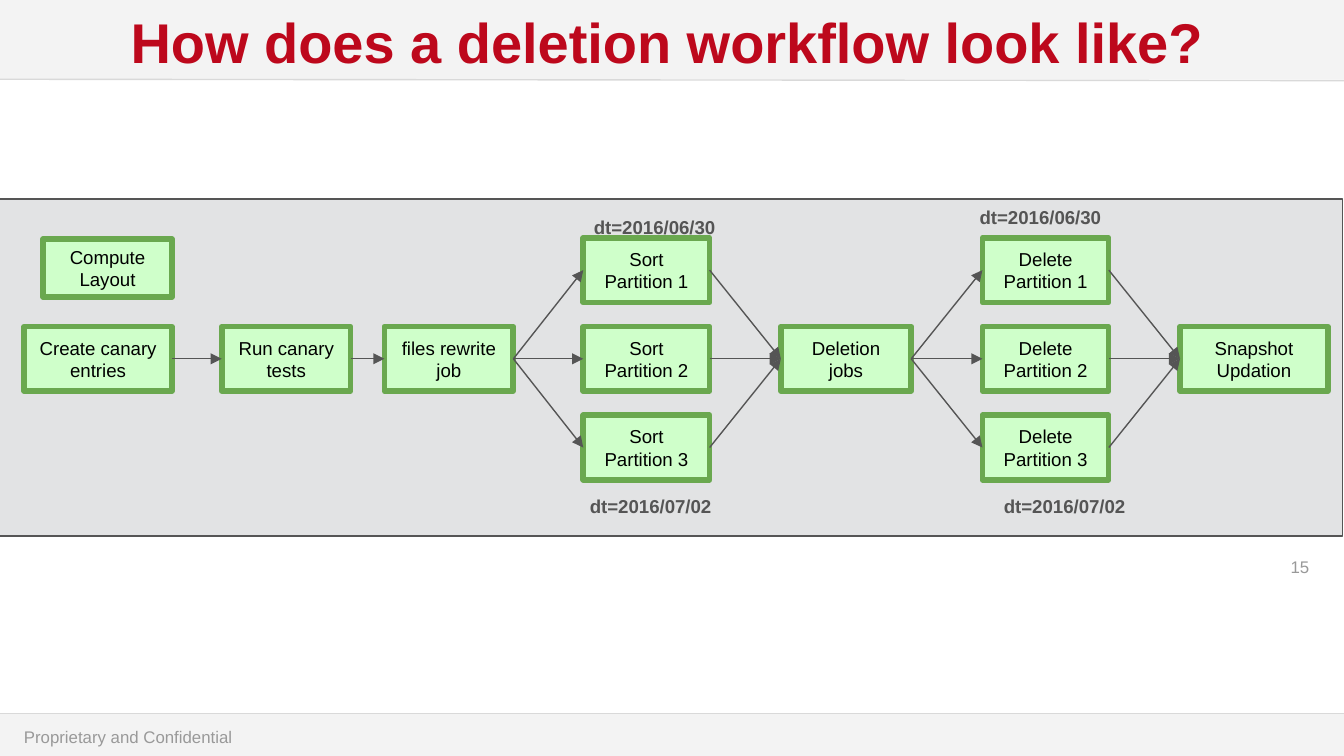
from itertools import pairwise, product

from lxml.etree import SubElement
from pptx import Presentation
from pptx.dml.color import RGBColor
from pptx.enum.shapes import MSO_CONNECTOR as Connector, MSO_SHAPE as Shape
from pptx.enum.text import MSO_ANCHOR as Anchor, PP_ALIGN as Align
from pptx.oxml.ns import qn
from pptx.util import Inches, Pt

RED = RGBColor(0xBD, 0x08, 0x1C)
BAND = RGBColor(0xF3, 0xF3, 0xF3)
RULE = RGBColor(0xD9, 0xD9, 0xD9)
PANEL = RGBColor(0xE2, 0xE3, 0xE4)
DARK = RGBColor(0x55, 0x55, 0x55)
GRAY = RGBColor(0x99, 0x99, 0x99)
MINT = RGBColor(0xCF, 0xFF, 0xCA)
GREEN = RGBColor(0x6A, 0xA8, 0x4F)
BLACK = RGBColor(0, 0, 0)

LEFT_SIDE, RIGHT_SIDE = 1, 3
FLOW_CENTER, ROW_STEP, STEP_HEIGHT = 2.67, 0.66, 0.48

STAGES = [
    (0.18, 1.1, ["Create canary entries"]),
    (1.65, 0.96, ["Run canary tests"]),
    (2.86, 0.96, ["files rewrite job"]),
    (4.34, 0.94, [f"Sort Partition {number}" for number in (1, 2, 3)]),
    (5.81, 0.97, ["Deletion jobs"]),
    (7.31, 0.94, [f"Delete Partition {number}" for number in (1, 2, 3)]),
    (8.78, 1.1, ["Snapshot Updation"]),
]
DATES = [
    (4.32, 1.52, 1.26, 0.71, "dt=2016/06/30"),
    (7.19, 1.45, 3.28, 0.37, "dt=2016/06/30"),
    (4.29, 3.6, 3.28, 0.37, "dt=2016/07/02"),
    (7.37, 3.6, 3.28, 0.37, "dt=2016/07/02"),
]


def set_text(shape, text, size, color, bold=False, align=Align.LEFT,
             anchor=Anchor.TOP, inset=0.1):
    frame = shape.text_frame
    frame.text = text
    frame_format = {"word_wrap": True, "vertical_anchor": anchor}
    for side in ("left", "top", "right", "bottom"):
        frame_format[f"margin_{side}"] = Inches(inset)
    for name, value in frame_format.items():
        setattr(frame, name, value)
    paragraph = frame.paragraphs[0]
    paragraph.alignment = align
    font = paragraph.runs[0].font
    for name, value in {"name": "Arial", "size": Pt(size), "bold": bold}.items():
        setattr(font, name, value)
    font.color.rgb = color


def add_label(slide, left, top, width, height, text, size, color, **text_format):
    box = slide.shapes.add_textbox(*map(Inches, (left, top, width, height)))
    set_text(box, text, size, color, **text_format)


def add_rectangle(slide, left, top, width, height, fill, line=None, weight=0.75):
    shape = slide.shapes.add_shape(
        Shape.RECTANGLE, *map(Inches, (left, top, width, height)))
    shape.shadow.inherit = False
    shape.fill.solid()
    shape.fill.fore_color.rgb = fill
    if line is None:
        shape.line.fill.background()
    else:
        shape.line.color.rgb = line
        shape.line.width = Pt(weight)
    return shape


def add_step(slide, left, top, width, height, text):
    shape = add_rectangle(slide, left, top, width, height, MINT, GREEN, 3)
    set_text(shape, text, 10, BLACK, align=Align.CENTER, anchor=Anchor.MIDDLE)
    return shape


def add_line(slide, start, end, color):
    line = slide.shapes.add_connector(
        Connector.STRAIGHT, *map(Inches, (*start, *end)))
    line.line.color.rgb = color
    line.line.width = Pt(0.75)
    SubElement(line.element.spPr, qn("a:effectLst"))
    return line


def add_arrow(slide, source, target):
    arrow = add_line(slide, (0, 0), (0, 0), DARK)
    arrow.begin_connect(source, RIGHT_SIDE)
    arrow.end_connect(target, LEFT_SIDE)
    outline = arrow.element.spPr.find(qn("a:ln"))
    SubElement(outline, qn("a:tailEnd"), type="triangle")


def add_stage(slide, left, width, labels):
    first_center = FLOW_CENTER - ROW_STEP * (len(labels) - 1) / 2
    top = first_center - STEP_HEIGHT / 2
    return [
        add_step(slide, left, top + row * ROW_STEP, width, STEP_HEIGHT, label)
        for row, label in enumerate(labels)
    ]


def add_frame(slide):
    add_rectangle(slide, 0, 0, 10, 0.59, BAND)
    add_line(slide, (0, 0.59), (10, 0.6), RULE)
    add_rectangle(slide, 0, 5.31, 10, 0.32, BAND)
    add_line(slide, (0, 5.31), (10, 5.31), RULE)
    add_label(slide, 0.08, 5.33, 1.93, 0.33, "Proprietary and Confidential", 9, GRAY)
    add_label(slide, 9.35, 4.07, 0.49, 0.43, "15", 9, GRAY, align=Align.RIGHT)


def add_title(slide, text):
    title = slide.shapes.title
    position = {"left": 0.2, "top": 0, "width": 9.53, "height": 0.61}
    for name, value in position.items():
        setattr(title, name, Inches(value))
    set_text(title, text, 30, RED, bold=True, align=Align.CENTER,
             anchor=Anchor.MIDDLE, inset=0)
    title.element.getparent().append(title.element)


def add_workflow(slide):
    add_rectangle(slide, -0.07, 1.48, 10.06, 2.51, PANEL, DARK)
    add_step(slide, 0.32, 1.78, 0.96, 0.43, "Compute Layout")
    stages = [add_stage(slide, *stage) for stage in STAGES]
    for sources, targets in pairwise(stages):
        for source, target in product(sources, targets):
            add_arrow(slide, source, target)
    for left, top, width, height, text in DATES:
        add_label(slide, left, top, width, height, text, 10, DARK, bold=True)


def main():
    presentation = Presentation()
    presentation.slide_width = Inches(10)
    presentation.slide_height = Inches(10) * 9 // 16
    slide = presentation.slides.add_slide(presentation.slide_layouts[5])
    add_frame(slide)
    add_title(slide, "How does a deletion workflow look like?")
    add_workflow(slide)
    presentation.save("out.pptx")


if __name__ == "__main__":
    main()
